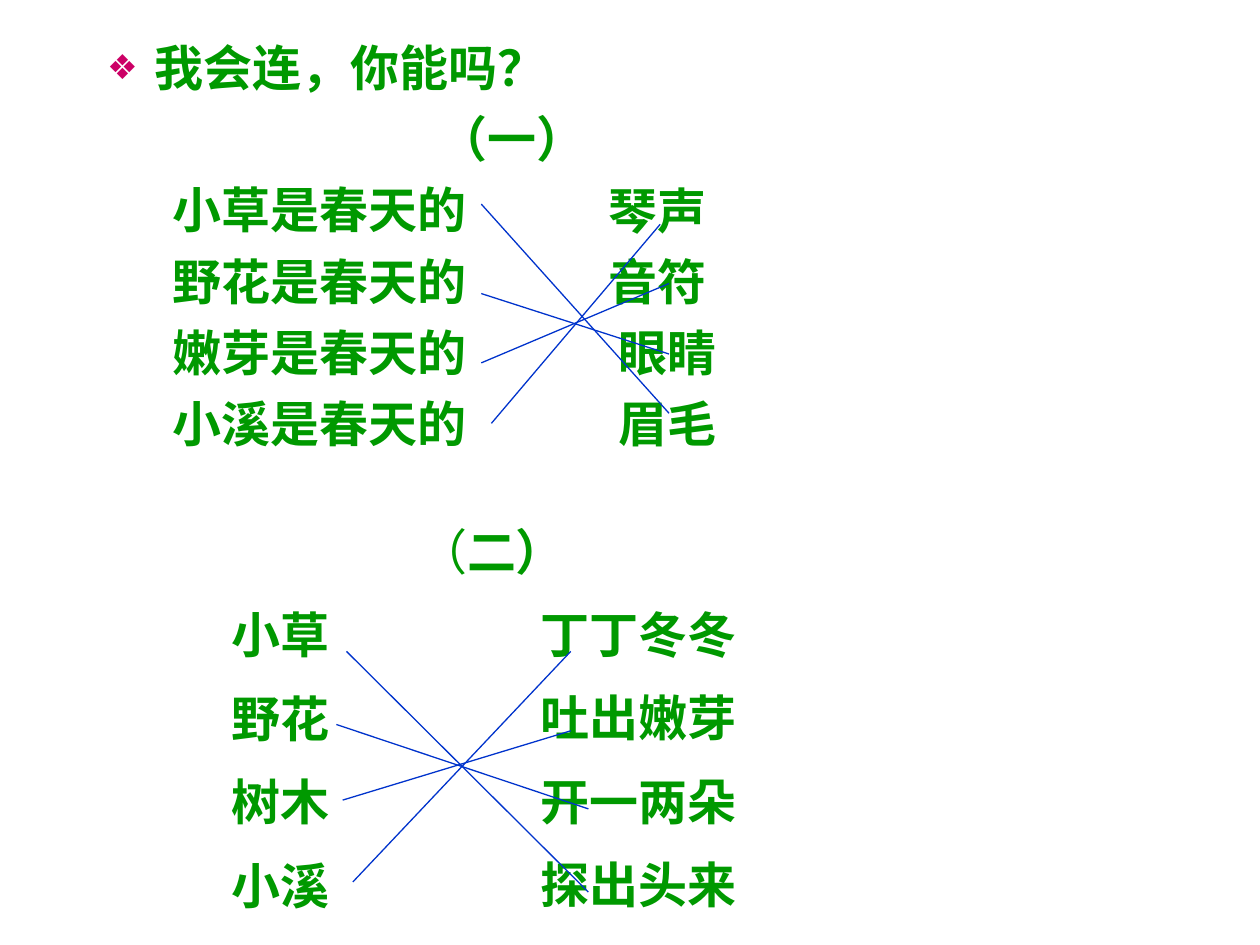
import pptx
import pptx.dml.color
import pptx.enum.shapes
import pptx.enum.text
import pptx.oxml.ns
import pptx.util
from lxml import etree
from pptx.util import Inches

COLORS = {"text": "009900", "bullet": "CC0066", "line": "0033CC"}


def rgb(name):
    return pptx.dml.color.RGBColor.from_string(COLORS[name])


def add_child(parent, tag, **attributes):
    child = etree.SubElement(parent, pptx.oxml.ns.qn(tag))
    for name, value in attributes.items():
        child.set(name, str(value))
    return child


def set_layout(paragraph, margin, bullet):
    """Give a paragraph its left margin and bullet."""
    properties = paragraph._p.get_or_add_pPr()
    properties.set("marL", str(Inches(margin)))
    properties.set("indent", str(-Inches(margin) if bullet else 0))
    if bullet:
        bullet_color = add_child(properties, "a:buClr")
        add_child(bullet_color, "a:srgbClr", val=COLORS["bullet"])
        add_child(properties, "a:buSzPct", val=70000)
        add_child(properties, "a:buChar", char=bullet)
    else:
        add_child(properties, "a:buNone")


def add_text(frame, text, *, font, margin=0, bullet=None, space_before=0,
             line_spacing=1.0, light_start=0):
    """Add one paragraph; its first light_start characters are not bold."""
    first = not frame.text
    paragraph = frame.paragraphs[0] if first else frame.add_paragraph()
    set_layout(paragraph, margin, bullet)
    paragraph.space_before = pptx.util.Pt(0 if first else space_before)
    paragraph.line_spacing = line_spacing
    for part, bold in ((text[:light_start], False), (text[light_start:], True)):
        if part:
            run = paragraph.add_run()
            run.text = part
            run.font.name = font
            run.font.size = pptx.util.Pt(28)
            run.font.bold = bold
            run.font.color.rgb = rgb("text")


def prepare_frame(shape):
    frame = shape.text_frame
    frame.word_wrap = True
    frame.auto_size = pptx.enum.text.MSO_AUTO_SIZE.NONE
    frame.vertical_anchor = pptx.enum.text.MSO_ANCHOR.TOP
    return frame


def add_text_box(slide, left, top, width, height):
    return prepare_frame(slide.shapes.add_textbox(
        Inches(left), Inches(top), Inches(width), Inches(height)))


def add_matches(slide, left, top, matches):
    """Draw answer lines whose ends are offsets from the box corner."""
    for start_x, start_y, end_x, end_y in matches:
        connector = slide.shapes.add_connector(
            pptx.enum.shapes.MSO_CONNECTOR.STRAIGHT,
            Inches(left + start_x), Inches(top + start_y),
            Inches(left + end_x), Inches(top + end_y))
        connector.line.color.rgb = rgb("line")
        connector.line.width = pptx.util.Pt(0.75)
        add_child(connector._element.spPr, "a:effectLst")


def add_first_exercise(slide, left, top, width, height):
    body = slide.placeholders[1]
    body.left, body.top = Inches(left), Inches(top)
    body.width, body.height = Inches(width), Inches(height)
    subjects = prepare_frame(body)
    answers = add_text_box(slide, left + 3.98, top + 1.13, 2, height - 1.13)
    style = {"font": "Arial", "space_before": 7}
    add_text(subjects, "我会连，你能吗？", margin=0.38, bullet="❖", **style)
    add_text(subjects, "（一）", margin=2.63, **style)
    rows = [("小草", "琴声", 0), ("野花", "音符", 0),
            ("嫩芽", "眼睛", 0.08), ("小溪", "眉毛", 0.08)]
    for subject, answer, answer_margin in rows:
        add_text(subjects, f"{subject}是春天的", margin=0.52, **style)
        add_text(answers, answer, margin=answer_margin, **style)
    add_matches(slide, left, top, [
        (3.07, 1.37, 4.56, 3.03), (3.15, 3.11, 4.49, 1.53),
        (3.07, 2.08, 4.56, 2.56), (3.07, 2.63, 4.56, 2.0)])


def add_second_exercise(slide, left, top, width, height):
    subjects = add_text_box(slide, left, top, width, height)
    answers = add_text_box(slide, left + 2.97, top + 0.66, 2.5, height - 0.66)
    style = {"font": "Times New Roman", "space_before": 17.5,
             "line_spacing": 0.9}
    add_text(subjects, "（二）", margin=2.0, light_start=1, **style)
    rows = [("小草", "丁丁冬冬"), ("野花", "吐出嫩芽"),
            ("树木", "开一两朵"), ("小溪", "探出头来")]
    for subject, answer in rows:
        add_text(subjects, subject, margin=0.52, **style)
        add_text(answers, answer, **style)
    add_matches(slide, left, top, [
        (1.53, 1.03, 3.45, 2.94), (1.45, 1.61, 3.45, 2.28),
        (1.5, 2.21, 3.31, 1.66), (1.58, 2.86, 3.31, 1.03)])


def main():
    presentation = pptx.Presentation()
    presentation.slide_width = Inches(10)
    presentation.slide_height = Inches(7.5)
    slide = presentation.slides.add_slide(presentation.slide_layouts[1])
    title = slide.shapes.title._element
    title.getparent().remove(title)
    add_first_exercise(slide, 0.75, 0.25, 8.5, 3.5)
    add_second_exercise(slide, 1.22, 4.14, 7.08, 3.17)
    presentation.save("out.pptx")


if __name__ == "__main__":
    main()
